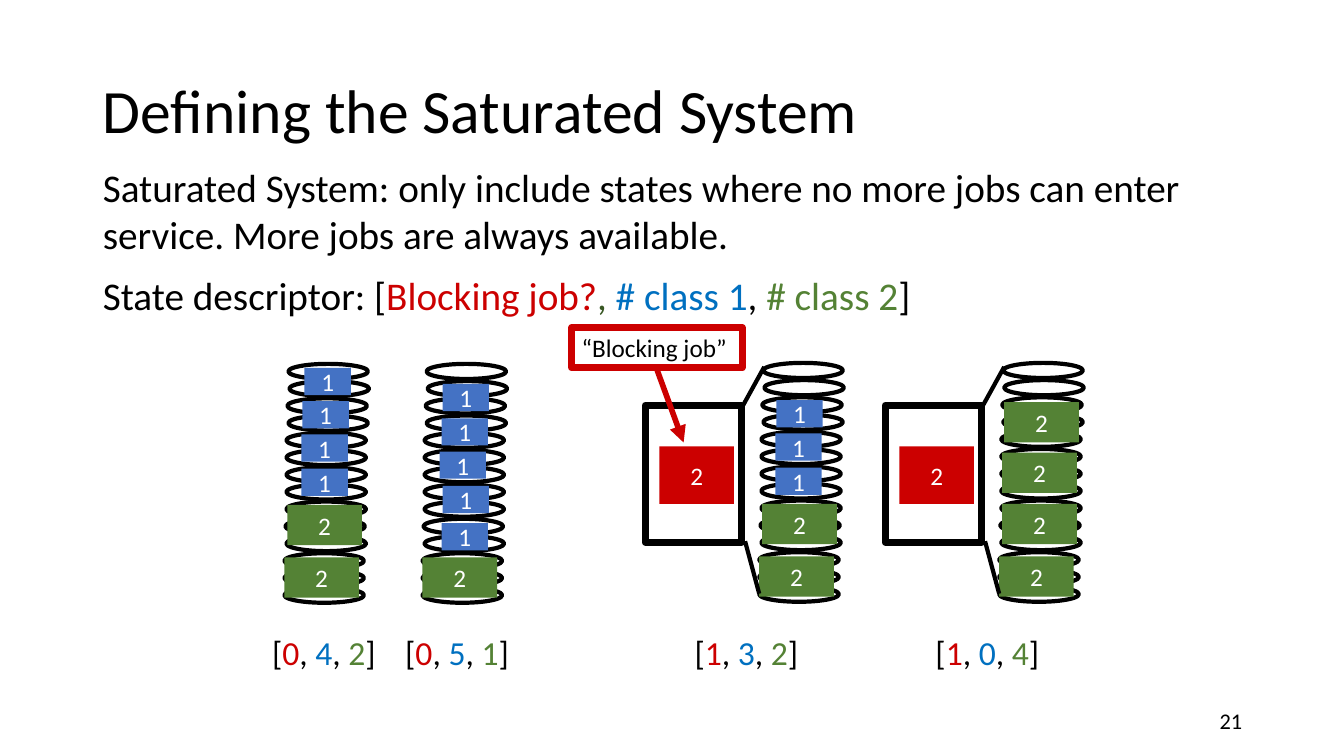
from lxml.etree import SubElement
from pptx import Presentation
from pptx.dml.color import RGBColor
from pptx.enum.shapes import MSO_CONNECTOR, MSO_SHAPE
from pptx.enum.text import MSO_ANCHOR, MSO_AUTO_SIZE, PP_ALIGN
from pptx.oxml.ns import qn
from pptx.util import Inches, Pt

BLACK, WHITE, RED = "000000", "FFFFFF", "CC0000"
BLUE, GREEN, DARK_GREEN, JOB_BLUE = "0070C0", "548235", "385723", "4472C4"

TITLE = "Defining the Saturated System"
BODY = [
    [("Saturated System: only include states where no more jobs can enter "
      "service. More jobs are always available.", BLACK)],
    [("State descriptor: [", BLACK), ("Blocking job?", RED), (", ", DARK_GREEN),
     ("# class 1", BLUE), (", ", BLACK), ("# class 2", GREEN), ("]", BLACK)],
]
PAGE_NUMBER = "21"
BLOCKING_LABEL = "“Blocking job”"

# Each server: left and top of its coil, left of its label, state, and its jobs
# as (class, offset right, offset down) from the coil corner.
SERVERS = [
    dict(left=2.82, top=3.61, label=2.6, state=(0, 4, 2), jobs=[
        (2, 0, 1.92), (2, 0.03, 1.4), (1, 0.17, 1.04), (1, 0.17, 0.7),
        (1, 0.18, 0.37), (1, 0.2, 0.04)]),
    dict(left=4.19, top=3.61, label=3.92, state=(0, 5, 1), jobs=[
        (2, 0, 1.92), (1, 0.19, 1.58), (1, 0.2, 1.21), (1, 0.17, 0.87),
        (1, 0.19, 0.54), (1, 0.2, 0.2)]),
    dict(left=7.53, top=3.6, label=6.79, state=(1, 3, 2), jobs=[
        (2, 0, 1.92), (2, 0.03, 1.4), (1, 0.16, 1.04), (1, 0.16, 0.7),
        (1, 0.17, 0.37)]),
    dict(left=9.91, top=3.6, label=9.18, state=(1, 0, 4), jobs=[
        (2, 0, 1.92), (2, 0.03, 1.4), (2, 0.03, 0.89), (2, 0.05, 0.39)]),
]
RING_SHIFTS = [0.04, 0.05, 0.03, 0.04, 0.02, 0.02, 0.02,
               0.02, 0.02, 0.01, 0.02, 0, 0, 0]
RING_STEP = 2.22 / (len(RING_SHIFTS) - 1)
RING_SIZE = (0.79, 0.15)
JOB_STYLES = {1: (0.46, 0.27, JOB_BLUE), 2: (0.74, 0.4, GREEN)}


def color(code):
    return RGBColor.from_string(code)


def place(shape, left, top, width, height):
    shape.left, shape.top = Inches(left), Inches(top)
    shape.width, shape.height = Inches(width), Inches(height)


def write(shape, paragraphs, size, align=PP_ALIGN.LEFT, anchor=MSO_ANCHOR.TOP,
          before=0, spacing=1, fit=MSO_AUTO_SIZE.NONE):
    """Fill a shape with paragraphs, each a list of (text, colour) spans."""
    frame = shape.text_frame
    frame.word_wrap, frame.auto_size = True, fit
    frame.vertical_anchor = anchor
    for index, spans in enumerate(paragraphs):
        para = frame.add_paragraph() if index else frame.paragraphs[0]
        para.alignment, para.line_spacing = align, spacing
        para.space_before = Pt(before)
        for text, code in spans:
            span = para.add_run()
            span.text = text
            span.font.name, span.font.size = "Calibri", Pt(size)
            span.font.color.rgb = color(code)


def add_box(group, kind, bounds, fill=None, line=None, weight=3):
    box = group.shapes.add_shape(kind, *map(Inches, bounds))
    box.shadow.inherit = False
    if fill:
        box.fill.solid()
        box.fill.fore_color.rgb = color(fill)
    else:
        box.fill.background()
    if line:
        box.line.color.rgb = color(line)
        box.line.width = Pt(weight)
    else:
        box.line.fill.background()
    return box


def add_line(group, start, end, code=BLACK, weight=3, arrow=False):
    line = group.shapes.add_connector(
        MSO_CONNECTOR.STRAIGHT, *map(Inches, (*start, *end)))
    line.line.color.rgb = color(code)
    line.line.width = Pt(weight)
    properties = line._element.spPr
    if arrow:
        SubElement(properties.find(qn("a:ln")), qn("a:tailEnd"), type="triangle")
    SubElement(properties, qn("a:effectLst"))


def add_text(page, bounds, spans, size, **style):
    write(page.shapes.add_textbox(*map(Inches, bounds)), [spans], size, **style)


def add_job(group, name, bounds, fill):
    box = add_box(group, MSO_SHAPE.RECTANGLE, bounds, fill)
    write(box, [[(str(name), WHITE)]], 18, PP_ALIGN.CENTER, MSO_ANCHOR.MIDDLE)


def add_blocked_frame(group, left, top):
    """Add the magnified frame left of a coil, holding its blocking job."""
    add_job(group, 2, (left - 0.99, top + 0.83, 0.74, 0.57), RED)
    add_box(group, MSO_SHAPE.RECTANGLE,
            (left - 1.13, top + 0.42, 0.96, 1.36), line=BLACK, weight=5)
    add_line(group, (left - 0.17, top + 0.44), (left + 0.05, top + 0.04))
    add_line(group, (left - 0.14, top + 1.77), (left, top + 2.29))


def add_server(page, left, top, label, state, jobs):
    group = page.shapes.add_group_shape()
    for row, shift in enumerate(RING_SHIFTS):
        add_box(group, MSO_SHAPE.OVAL,
                (left + shift, top + row * RING_STEP, *RING_SIZE), WHITE, BLACK)
    for job, right, down in jobs:
        width, height, fill = JOB_STYLES[job]
        add_job(group, job, (left + right, top + down, width, height), fill)
    blocked, ones, twos = state
    if blocked:
        add_blocked_frame(group, left, top)
    spans = [("[", BLACK), (str(blocked), RED), (", ", BLACK),
             (str(ones), BLUE), (", ", BLACK), (str(twos), GREEN), ("]", BLACK)]
    add_text(page, (label, 6.22, 1.32, 0.5), spans, 24,
             fit=MSO_AUTO_SIZE.SHAPE_TO_FIT_TEXT)


def add_blocking_callout(page):
    group = page.shapes.add_group_shape()
    box = add_box(group, MSO_SHAPE.RECTANGLE, (5.67, 3.25, 1.69, 0.4),
                  line=RED, weight=5)
    write(box, [[(BLOCKING_LABEL, BLACK)]], 18,
          fit=MSO_AUTO_SIZE.SHAPE_TO_FIT_TEXT)
    add_line(group, (6.51, 3.65), (6.78, 4.39), RED, 4, arrow=True)


def main():
    deck = Presentation()
    deck.slide_width, deck.slide_height = Inches(13.33), Inches(7.5)
    page = deck.slides.add_slide(deck.slide_layouts[1])
    title, body = page.placeholders
    place(title, 0.92, 0.4, 11.5, 1.45)
    write(title, [[(TITLE, BLACK)]], 44, anchor=MSO_ANCHOR.MIDDLE, spacing=0.9)
    place(body, 0.92, 1.57, 10.99, 4.76)
    write(body, BODY, 28, before=10)
    for para in body.text_frame.paragraphs:
        properties = para._p.get_or_add_pPr()
        properties.set("marL", "0")
        properties.set("indent", "0")
        SubElement(properties, qn("a:buNone"))
    add_text(page, (9.42, 6.95, 3, 0.4), [(PAGE_NUMBER, BLACK)], 16,
             align=PP_ALIGN.RIGHT, anchor=MSO_ANCHOR.MIDDLE)
    for server in SERVERS:
        add_server(page, **server)
    add_blocking_callout(page)
    deck.save("out.pptx")


if __name__ == "__main__":
    main()
